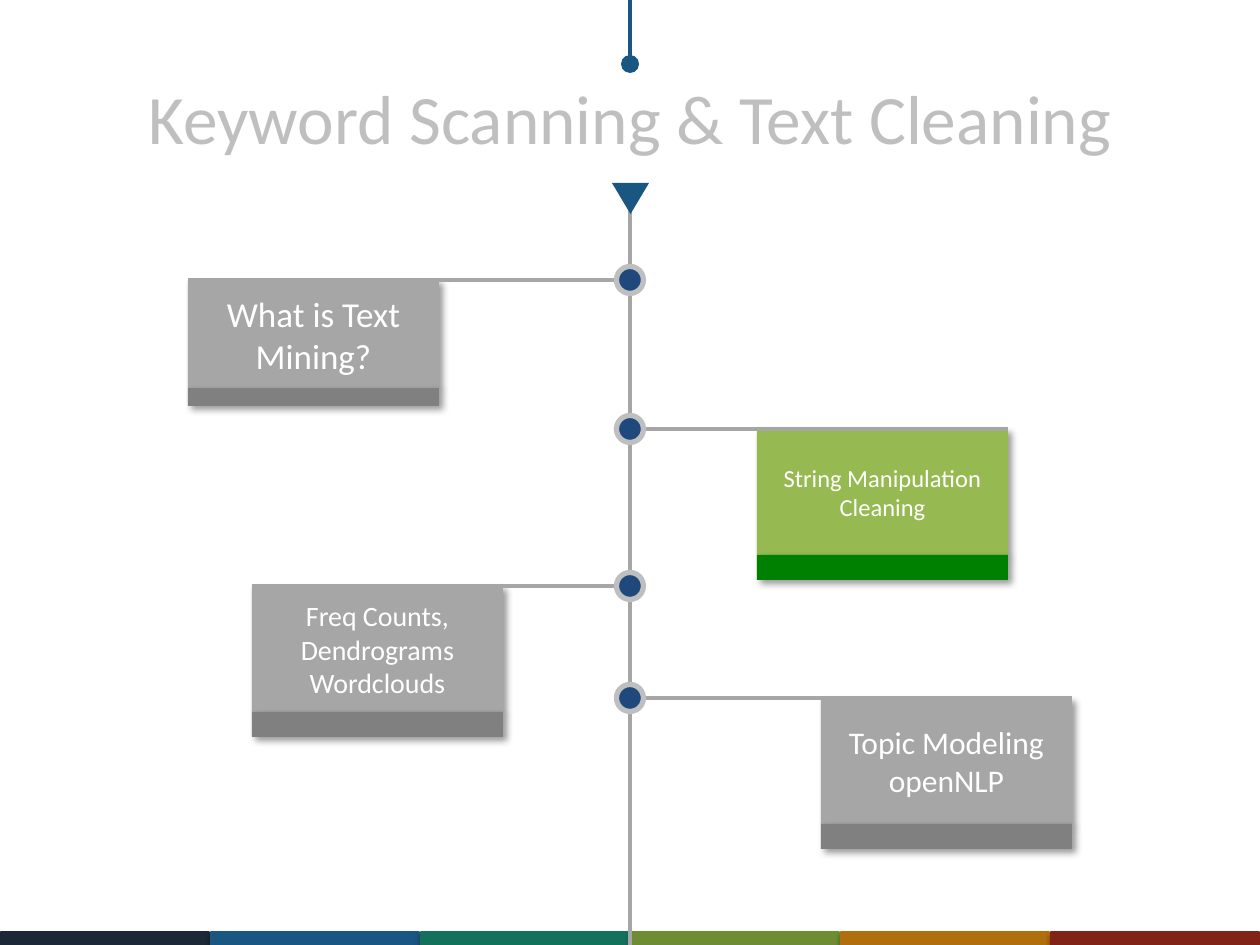
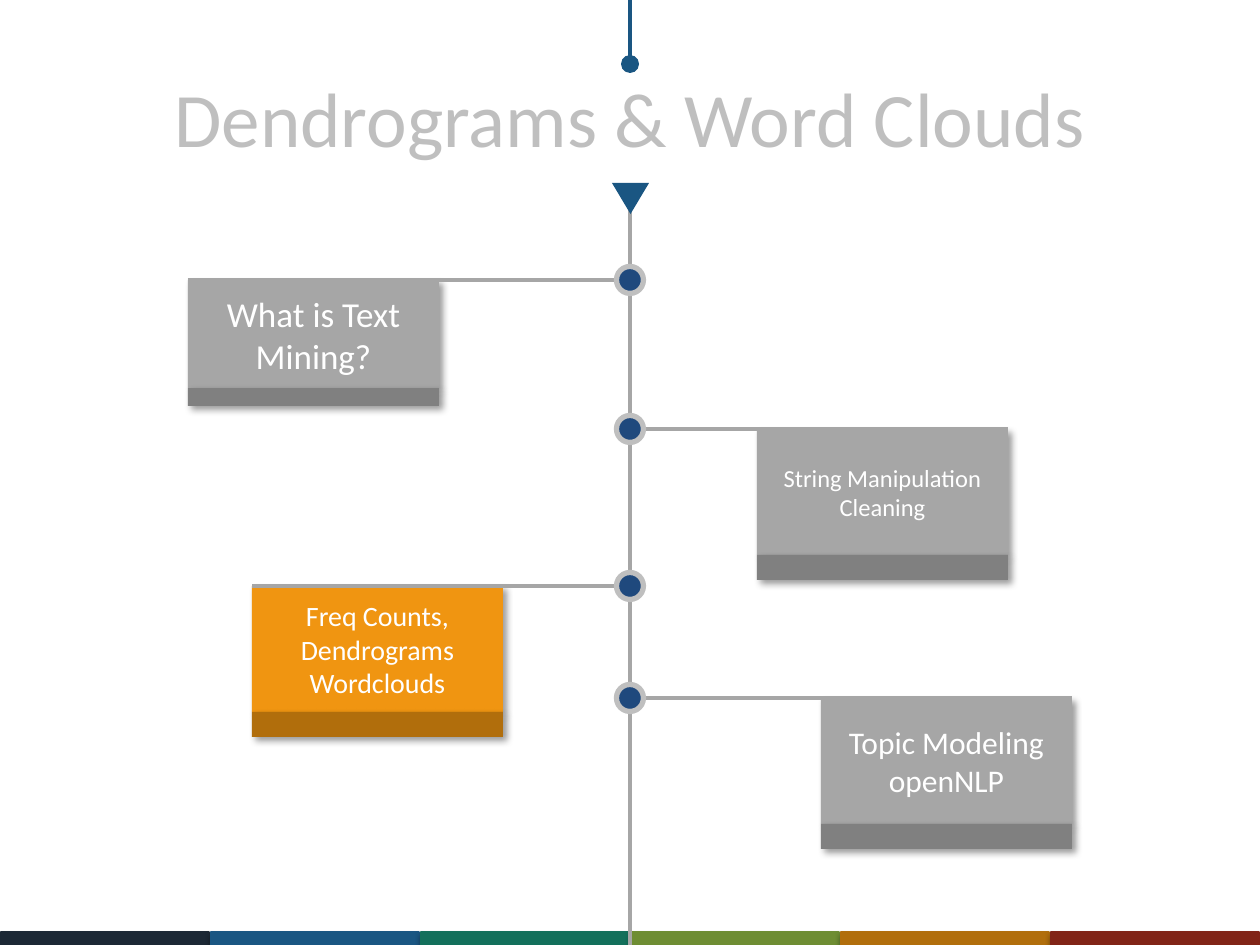
from dataclasses import dataclass

from lxml import etree
from pptx import Presentation
from pptx import util as u
from pptx.dml.color import RGBColor
from pptx.enum import shapes, text
from pptx.oxml import ns

EMU_PER_PX = 914400 / 126
SLIDE_BOX = (0, 0, 1260, 945)
MIDDLE = 630


@dataclass(frozen=True)
class Theme:
    font: str = "Calibri"
    white: str = "FFFFFF"
    title: str = "BFBFBF"
    pin: str = "1A5682"
    dot: str = "1F497D"
    rail: str = "A6A6A6"
    band: tuple = ("1C2835", "1A5682", "13705B", "6E8D33", "B16E0C", "812417")
    # Body and base colours of a card
    muted: tuple = ("A6A6A6", "808080")
    green: tuple = ("96BA51", "008000")
    orange: tuple = ("F09511", "B16E0C")
    # Blur, distance (points), direction (degrees), opacity (percent)
    card_shadow: tuple = (4, 3, 45, 40)
    band_shadow: tuple = (3.1, 1.8, 90, 35)
    rail_width: float = 2
    ring_width: float = 3
    band_width: float = 0.75


THEME = Theme()


@dataclass(frozen=True)
class Stop:
    label: str
    size: int
    y: int
    card_left: int
    body_height: int = 126
    base_height: int = 25


STOPS = (
    Stop("What is Text Mining?", 20, 280, 188, 108, 18),
    Stop("String Manipulation\nCleaning", 14, 429, 757),
    Stop("Freq Counts, Dendrograms\nWordclouds", 16, 586, 252),
    Stop("Topic Modeling\nopenNLP", 18, 698, 821),
)
CARD_WIDTH = 251


def px(*lengths):
    return [round(length * EMU_PER_PX) for length in lengths]


def add_shadow(shape, blur, distance, direction, opacity):
    effects = shape._element.spPr.find(ns.qn("a:effectLst"))
    shadow = etree.SubElement(
        effects, ns.qn("a:outerShdw"), blurRad=str(u.Pt(blur)),
        dist=str(u.Pt(distance)), dir=str(direction * 60000),
        algn="tl", rotWithShape="0")
    colour = etree.SubElement(shadow, ns.qn("a:srgbClr"), val="000000")
    etree.SubElement(colour, ns.qn("a:alpha"), val=str(opacity * 1000))


def add_shape(parent, kind, box, fill, line=None, width=0, shadow=None):
    shape = parent.shapes.add_shape(kind, *px(*box))
    shape.shadow.inherit = False
    shape.fill.solid()
    shape.fill.fore_color.rgb = RGBColor.from_string(fill)
    if line:
        shape.line.color.rgb = RGBColor.from_string(line)
        shape.line.width = u.Pt(width)
    else:
        shape.line.fill.background()
    if shadow:
        add_shadow(shape, *shadow)
    return shape


def add_line(slide, start, end, colour):
    line = slide.shapes.add_connector(
        shapes.MSO_CONNECTOR.STRAIGHT, *px(*start, *end))
    line.line.color.rgb = RGBColor.from_string(colour)
    line.line.width = u.Pt(THEME.rail_width)
    etree.SubElement(line._element.spPr, ns.qn("a:effectLst"))


def add_dot(slide, x, y, size, fill, line=None, width=0):
    box = (x - size / 2, y - size / 2, size, size)
    add_shape(slide, shapes.MSO_SHAPE.OVAL, box, fill, line, width)


def write(shape, words, size, colour):
    frame = shape.text_frame
    frame.word_wrap = True
    frame.vertical_anchor = text.MSO_ANCHOR.MIDDLE
    frame.text = words
    for paragraph in frame.paragraphs:
        paragraph.alignment = text.PP_ALIGN.CENTER
        for run in paragraph.runs:
            run.font.name = THEME.font
            run.font.size = u.Pt(size)
            run.font.color.rgb = RGBColor.from_string(colour)


def add_band(slide, box):
    """Row of coloured bars along the foot of the slide."""
    left, top, width, height = box
    pitch = width / len(THEME.band)
    group = slide.shapes.add_group_shape()
    for index, colour in enumerate(THEME.band):
        bar = (left + 1 + index * pitch, top, pitch - 2, height)
        add_shape(group, shapes.MSO_SHAPE.RECTANGLE, bar, colour, colour,
                  THEME.band_width, THEME.band_shadow)


def add_header(slide, box, title, size):
    """Title with the pin above it and the pointer below it."""
    left, top, width, height = box
    middle, pin_end = left + width / 2, top + 26
    title_box = slide.shapes.add_textbox(*px(*box))
    write(title_box, title, size, THEME.title)
    add_line(slide, (middle, 0), (middle, pin_end), THEME.pin)
    add_dot(slide, middle, pin_end, 18, THEME.pin)
    pointer = add_shape(slide, shapes.MSO_SHAPE.ISOSCELES_TRIANGLE,
                        (middle - 18, top + height - 13, 37, 31), THEME.pin)
    pointer.rotation = 180


def add_card(slide, box, stop, colours):
    """Labelled body standing on a darker base."""
    left, top, width, height = box
    body_colour, base_colour = colours
    body_height = height - stop.base_height
    group = slide.shapes.add_group_shape()
    body = add_shape(group, shapes.MSO_SHAPE.RECTANGLE,
                     (left, top, width, body_height),
                     body_colour, shadow=THEME.card_shadow)
    write(body, stop.label, stop.size, THEME.white)
    add_shape(group, shapes.MSO_SHAPE.RECTANGLE,
              (left, top + body_height, width, stop.base_height),
              base_colour, shadow=THEME.card_shadow)


def add_timeline(slide, box, current, highlight):
    """Vertical rail whose stops branch out to cards on either side."""
    left, top, width, height = box
    rail = left + width / 2
    add_line(slide, (rail, top + height), (rail, top), THEME.rail)
    for index, stop in enumerate(STOPS):
        card = (stop.card_left, stop.y, CARD_WIDTH,
                stop.body_height + stop.base_height)
        add_card(slide, card, stop,
                 highlight if index == current else THEME.muted)
        on_left = stop.card_left < rail
        outer = stop.card_left + (0 if on_left else CARD_WIDTH)
        add_line(slide, (outer, stop.y), (rail, stop.y), THEME.rail)
    for stop in STOPS:
        add_dot(slide, rail, stop.y, 27, THEME.dot, THEME.title,
                THEME.ring_width)


def add_agenda_slide(presentation, title, size, current, highlight):
    slide = presentation.slides.add_slide(presentation.slide_layouts[6])
    add_band(slide, (0, 932, 1260, 13))
    add_timeline(slide, (0, 189, 2 * MIDDLE, 756), current, highlight)
    add_header(slide, (63, 38, 1134, 158), title, size)


def main():
    presentation = Presentation()
    presentation.slide_width, presentation.slide_height = px(*SLIDE_BOX[2:])
    add_agenda_slide(presentation, "Keyword Scanning & Text Cleaning", 39.6,
                     1, THEME.green)
    add_agenda_slide(presentation, "Dendrograms & Word Clouds", 44,
                     2, THEME.orange)
    presentation.save("out.pptx")


if __name__ == "__main__":
    main()
